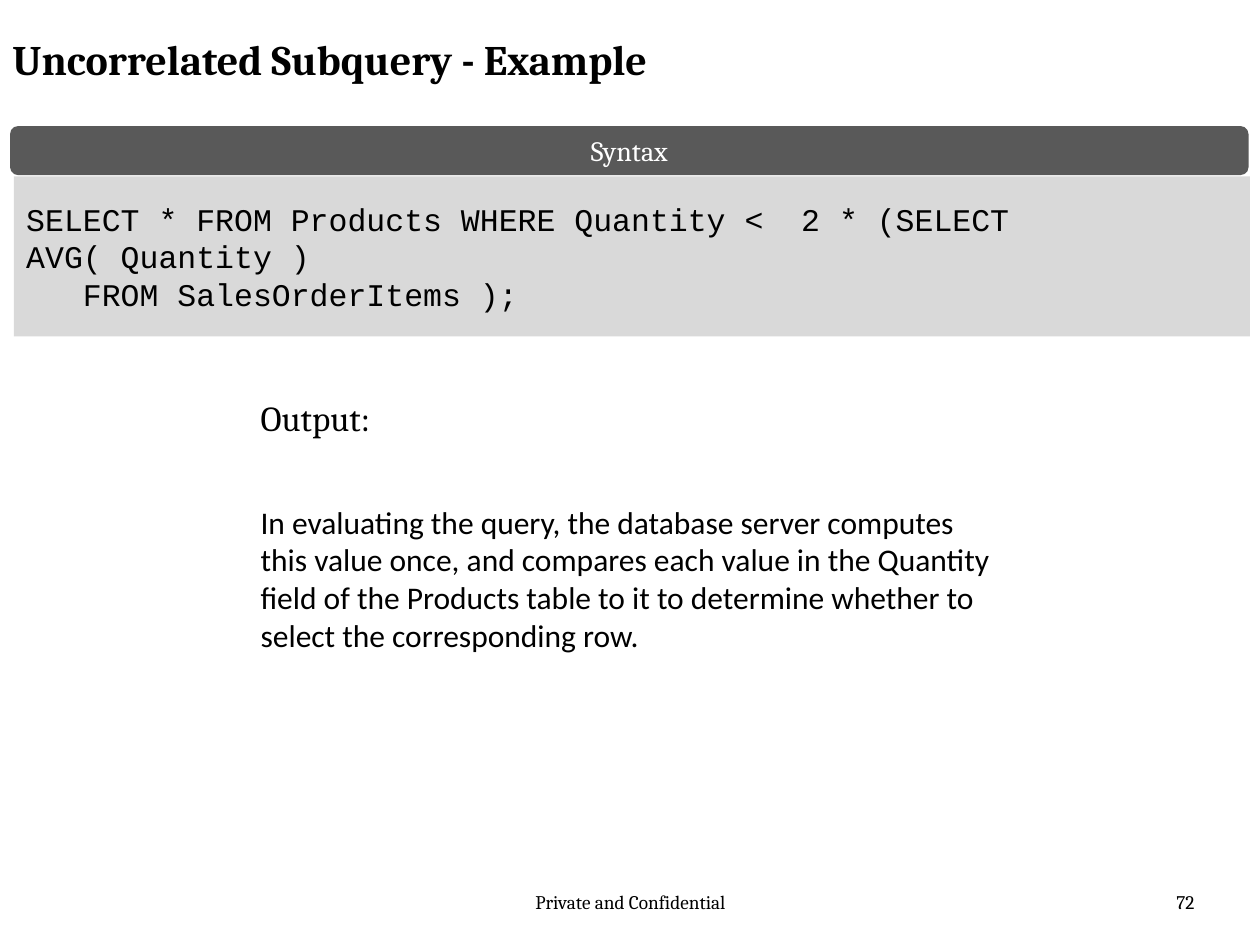
from pptx import Presentation
from pptx.dml.color import RGBColor
from pptx.enum.shapes import MSO_SHAPE
from pptx.enum.text import MSO_ANCHOR, MSO_AUTO_SIZE, PP_ALIGN
from pptx.util import Inches, Pt

COLORS = {"text": "000000", "header": "595959", "header_text": "FFFFFF", "code": "D9D9D9"}


class SlideBuilder:
    serif, sans, mono = "Cambria", "Calibri", "Courier New"

    def __init__(self, slide):
        self.slide = slide

    def fill_text(self, tf, lines, size, font, color="text", align=PP_ALIGN.LEFT, bold=False):
        """Fill a text frame with one paragraph per line."""
        for i, line in enumerate(lines):
            p = tf.add_paragraph() if i else tf.paragraphs[0]
            p.text = line
            p.alignment = align
            p.font.size = Pt(size)
            p.font.name = font
            p.font.bold = bold
            p.font.color.rgb = RGBColor.from_string(COLORS[color])

    def text(self, box, line, size, font=serif, wrap=True, grow=False, **style):
        tf = self.slide.shapes.add_textbox(*map(Inches, box)).text_frame
        tf.word_wrap = wrap
        tf.auto_size = MSO_AUTO_SIZE.SHAPE_TO_FIT_TEXT if grow else MSO_AUTO_SIZE.NONE
        self.fill_text(tf, [line], size, font, **style)

    def panel(self, box, fill, lines, size, font=serif, corner=None, **style):
        sp = self.slide.shapes.add_shape(MSO_SHAPE.ROUNDED_RECTANGLE, *map(Inches, box))
        sp.shadow.inherit = False
        sp.fill.solid()
        sp.fill.fore_color.rgb = RGBColor.from_string(COLORS[fill])
        sp.line.fill.background()
        if corner is not None:
            sp.adjustments[0] = corner
        tf = sp.text_frame
        tf.word_wrap = True
        tf.vertical_anchor = MSO_ANCHOR.MIDDLE
        self.fill_text(tf, lines, size, font, **style)


def main():
    prs = Presentation()
    prs.slide_width, prs.slide_height = Inches(10), Inches(7.5)
    s = SlideBuilder(prs.slides.add_slide(prs.slide_layouts[6]))

    s.text((3.42, 7.02, 3.17, 0.4), "Private and Confidential", 11, align=PP_ALIGN.CENTER)
    s.text((7.25, 7.02, 2.33, 0.4), "72", 11, align=PP_ALIGN.RIGHT)
    s.text((0, 0.22, 7.59, 0.62), "Uncorrelated Subquery - Example", 24, bold=True)

    s.panel((0.08, 1, 9.83, 0.39), "header", ["Syntax"], 16,
            color="header_text", align=PP_ALIGN.CENTER)
    query = ["SELECT * FROM Products WHERE Quantity <  2 * (SELECT AVG( Quantity )",
             "   FROM SalesOrderItems );"]
    s.panel((0.11, 1.4, 9.81, 1.27), "code", query, 18, font=s.mono, corner=0)

    s.text((1.97, 3.1, 1.11, 0.44), "Output:", 20, wrap=False, grow=True)
    s.text((1.97, 3.94, 6.06, 1.31),
           "In evaluating the query, the database server computes this value once, and "
           "compares each value in the Quantity field of the Products table to it to "
           "determine whether to select the corresponding row.",
           18, font=s.sans, grow=True)

    prs.save("out.pptx")


if __name__ == "__main__":
    main()
